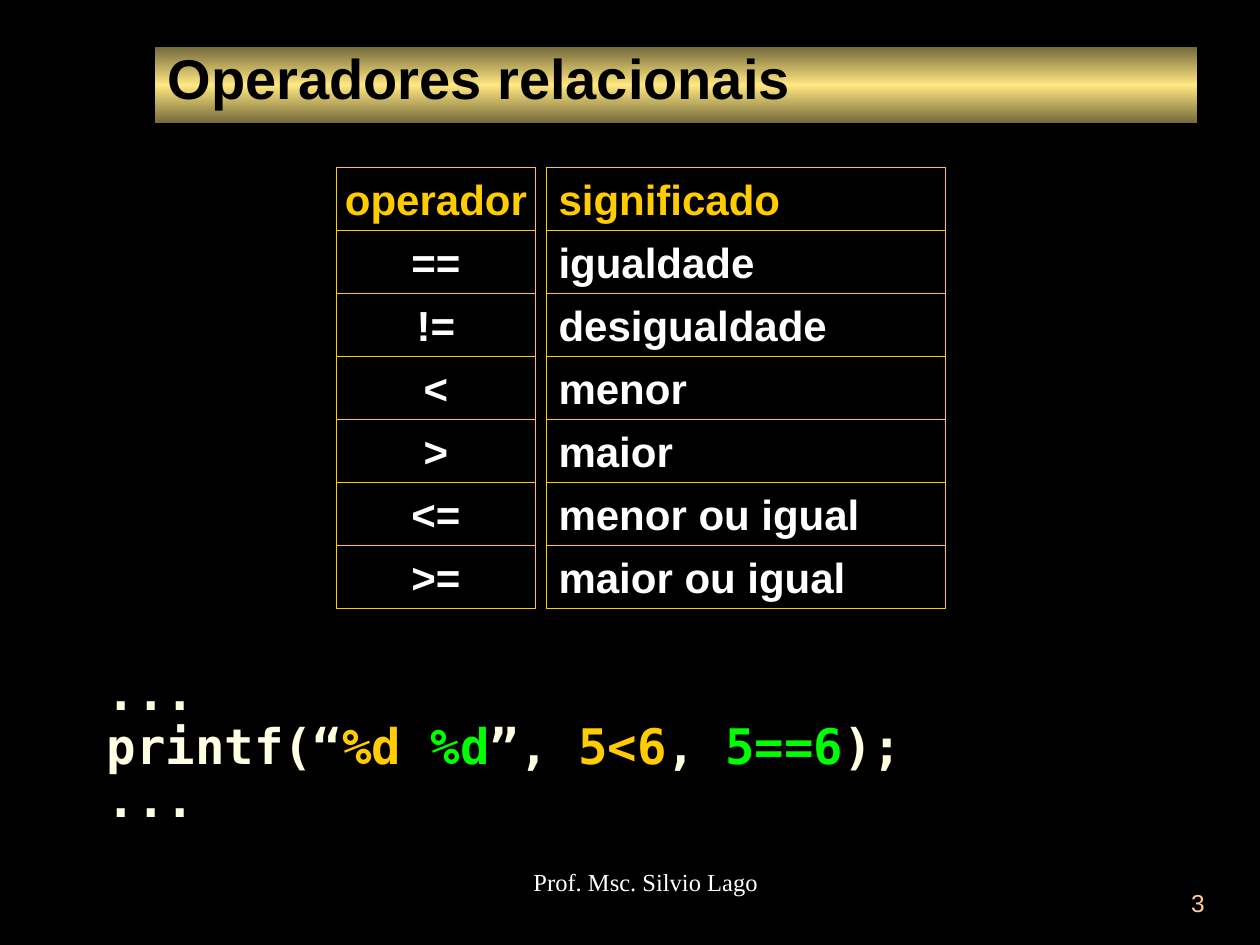
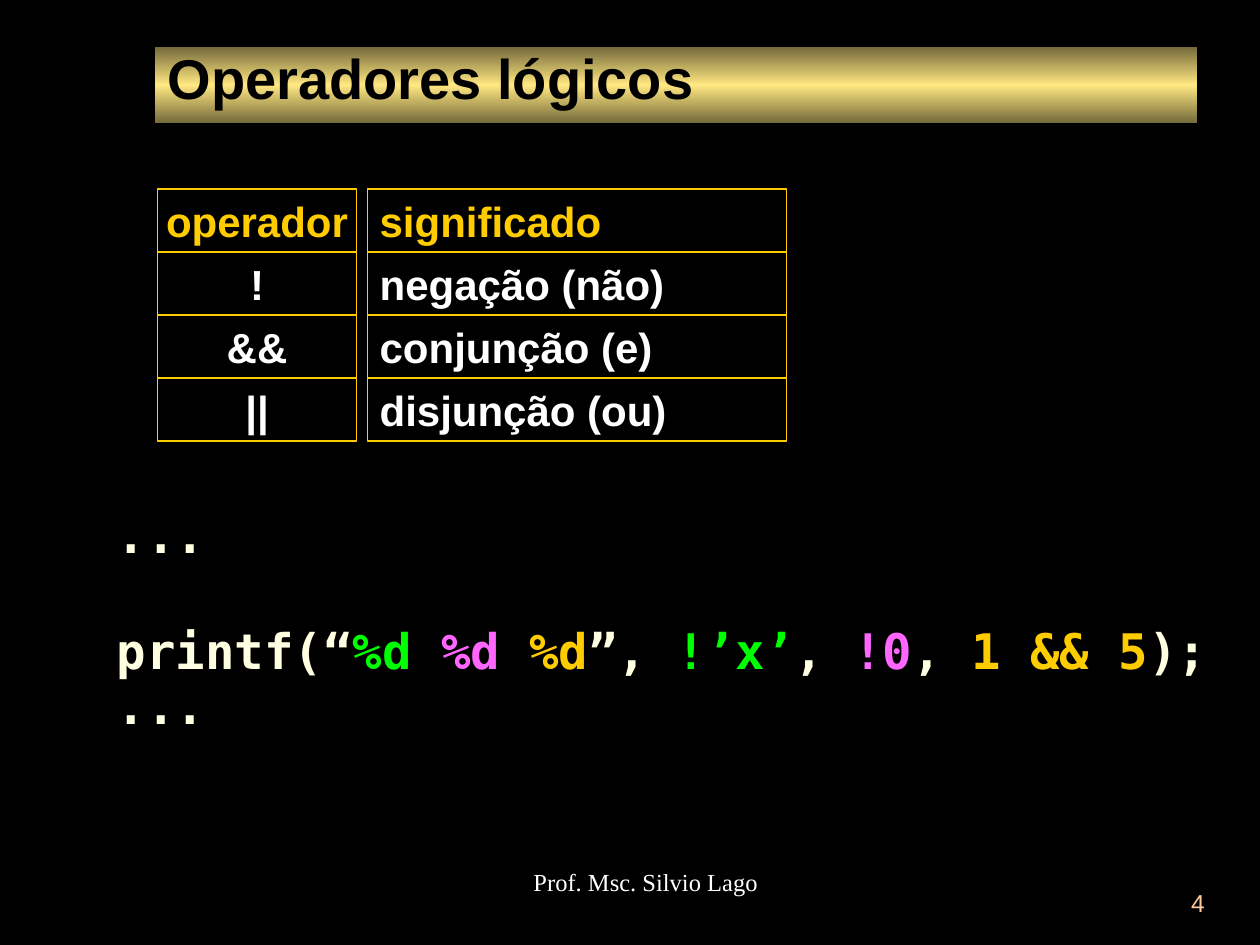
from copy import deepcopy
from dataclasses import dataclass

from pptx import Presentation
from pptx import util as u
from pptx.dml.color import RGBColor
from pptx.enum import shapes, text
from pptx.oxml.ns import qn

COLORS = {
    "background": "000000",
    "band_edge": "73683A",
    "band_middle": "FFE781",
    "title": "000000",
    "gold": "FFCC00",
    "white": "FFFFFF",
    "code": "FFFFE1",
    "green": "00FF00",
    "pink": "FF66FF",
    "number": "FFCC99",
}
ROW_HEIGHT = 0.5
OPERATOR_WIDTH = 1.58
COLUMN_STEP = 1.665
Box = tuple[float, float, float, float]
Run = tuple[str, str]


@dataclass
class Line:
    runs: list[Run]
    spacing: float = 0.7


@dataclass
class OperatorGrid:
    left: float
    top: float
    meaning_width: float
    rows: list[tuple[str, str]]


@dataclass
class Lesson:
    title: str
    number: int
    grid: OperatorGrid
    code_box: Box
    code: list[Line]


ELLIPSIS = Line([("...", "code")])
LESSONS = [
    Lesson(
        "Operadores relacionais", 3,
        OperatorGrid(2.67, 1.33, 3.17, [
            ("==", "igualdade"),
            ("!=", "desigualdade"),
            ("<", "menor"),
            (">", "maior"),
            ("<=", "menor ou igual"),
            (">=", "maior ou igual"),
        ]),
        (0.75, 5.33, 8.67, 1.33),
        [ELLIPSIS,
         Line([("printf(“", "code"), ("%d ", "gold"), ("%d", "green"),
               ("”, ", "code"), ("5<6", "gold"), (", ", "code"),
               ("5==6", "green"), (");", "code")]),
         ELLIPSIS],
    ),
    Lesson(
        "Operadores lógicos", 4,
        OperatorGrid(1.25, 1.5, 3.33, [
            ("!", "negação (não)"),
            ("&&", "conjunção (e)"),
            ("||", "disjunção (ou)"),
        ]),
        (0.83, 4.08, 9.17, 1.83),
        [ELLIPSIS,
         Line([("printf(“", "code"), ("%d ", "green"), ("%d ", "pink"),
               ("%d", "gold"), ("”, ", "code"), ("!’x’", "green"),
               (", ", "code"), ("!0", "pink"), (", ", "code"),
               ("1 && 5", "gold"), (");", "code")], 1.8),
         ELLIPSIS],
    ),
]


def rgb(name: str) -> RGBColor:
    return RGBColor.from_string(COLORS[name])


def inches(box: Box) -> list[u.Length]:
    return [u.Inches(length) for length in box]


def write(shape, lines: list[Line], *, size: float, font: str = "Arial",
          bold: bool = False, align=text.PP_ALIGN.LEFT,
          anchor=text.MSO_ANCHOR.TOP, wrap: bool = True,
          insets: Box = (0.1, 0.05, 0.1, 0.05), before: float = 0,
          margin: float = 0, indent: float = 0) -> None:
    frame = shape.text_frame
    frame.auto_size = text.MSO_AUTO_SIZE.NONE
    frame.word_wrap = wrap
    frame.vertical_anchor = anchor
    (frame.margin_left, frame.margin_top,
     frame.margin_right, frame.margin_bottom) = inches(insets)
    for index, line in enumerate(lines):
        paragraph = frame.add_paragraph() if index else frame.paragraphs[0]
        paragraph.alignment = align
        paragraph.line_spacing = line.spacing
        paragraph.space_before = u.Pt(before)
        properties = paragraph._p.get_or_add_pPr()
        properties.set("marL", str(u.Inches(margin)))
        properties.set("indent", str(u.Inches(indent)))
        for content, color in line.runs:
            run = paragraph.add_run()
            run.text = content
            run.font.name = font
            run.font.size = u.Pt(size)
            run.font.bold = bold
            run.font.color.rgb = rgb(color)


def single(content: str, color: str) -> list[Line]:
    return [Line([(content, color)], 1.0)]


def draw_title(slide, title: str) -> None:
    band = slide.shapes.title
    band.left, band.top, band.width, band.height = inches((1.23, 0.37, 8.27, 0.61))
    band.fill.gradient()
    band.fill.gradient_angle = 90
    stops = band._element.spPr.find(qn("a:gradFill")).find(qn("a:gsLst"))
    stops.append(deepcopy(stops[0]))
    shades = ("band_edge", "band_middle", "band_edge")
    for index, (stop, shade) in enumerate(zip(band.fill.gradient_stops, shades)):
        stop.position = index / 2
        stop.color.rgb = rgb(shade)
    write(band, single(title, "title"), size=32, bold=True,
          anchor=text.MSO_ANCHOR.MIDDLE, insets=(0.1, 0, 0.1, 0.13))


def draw_grid(slide, grid: OperatorGrid) -> None:
    rows = [("operador", "significado"), *grid.rows]
    columns = [
        (grid.left, OPERATOR_WIDTH, text.PP_ALIGN.CENTER),
        (grid.left + COLUMN_STEP, grid.meaning_width, text.PP_ALIGN.LEFT),
    ]
    for (left, width, align), entries in zip(columns, zip(*rows)):
        column = slide.shapes.add_group_shape()
        for row, entry in enumerate(entries):
            box = (left, grid.top + row * ROW_HEIGHT, width, ROW_HEIGHT)
            cell = column.shapes.add_shape(shapes.MSO_SHAPE.RECTANGLE, *inches(box))
            cell.shadow.inherit = False
            cell.fill.background()
            cell.line.color.rgb = rgb("gold")
            cell.line.width = u.Pt(0.75)
            write(cell, single(entry, "white" if row else "gold"), size=24,
                  bold=True, align=align, anchor=text.MSO_ANCHOR.MIDDLE, wrap=False)


def draw_text(slide, box: Box, lines: list[Line], **style) -> None:
    write(slide.shapes.add_textbox(*inches(box)), lines, **style)


def draw_lesson(slide, lesson: Lesson) -> None:
    draw_title(slide, lesson.title)
    draw_grid(slide, lesson.grid)
    draw_text(slide, lesson.code_box, lesson.code, size=28, font="DejaVu Sans Mono",
              bold=True, before=7, margin=0.38, indent=-0.38)
    draw_text(slide, (3.42, 6.83, 3.17, 0.5), single("Prof. Msc. Silvio Lago", "white"),
              size=14, font="Times New Roman", align=text.PP_ALIGN.CENTER, margin=0.24)
    draw_text(slide, (7.58, 7, 2.08, 0.5), single(str(lesson.number), "number"),
              size=14, align=text.PP_ALIGN.RIGHT)


def main() -> None:
    deck = Presentation()
    deck.slide_width, deck.slide_height = u.Inches(10), u.Inches(7.5)
    backdrop = deck.slide_master.background.fill
    backdrop.solid()
    backdrop.fore_color.rgb = rgb("background")
    title_only = deck.slide_layouts[5]
    for lesson in LESSONS:
        draw_lesson(deck.slides.add_slide(title_only), lesson)
    deck.save("out.pptx")


if __name__ == "__main__":
    main()
